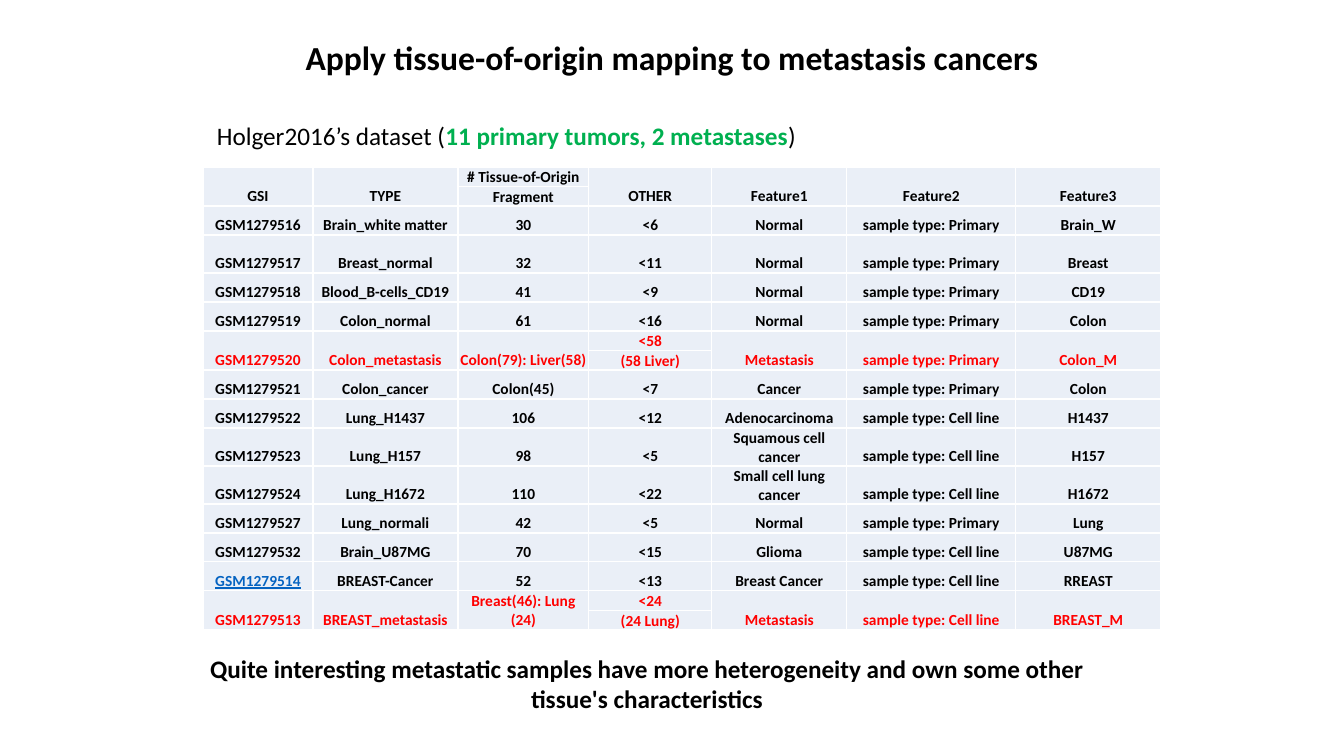
from lxml.etree import SubElement
from pptx import Presentation
from pptx.dml.color import RGBColor
from pptx.enum.text import MSO_ANCHOR, MSO_AUTO_SIZE, PP_ALIGN
from pptx.oxml.ns import qn
from pptx.util import Emu, Pt

COLORS = {
    "text": "000000",
    "primary": "00B050",
    "metastasis": "FF0000",
    "link": "0563C1",
    "cell": "EAEFF7",
    "border": "FFFFFF",
}
FONT = "Calibri"

TEXTS = [
    ((207, 115, 883, 40), 18, PP_ALIGN.LEFT, [
        ("Holger2016’s dataset (", "text", False),
        ("11 primary tumors, 2 metastases", "primary", True),
        (")", "text", False),
    ]),
    ((207, 32, 930, 50), 24, PP_ALIGN.CENTER, [
        ("Apply tissue-of-origin mapping to metastasis cancers", "text", True),
    ]),
    ((182, 648, 930, 72), 18, PP_ALIGN.CENTER, [
        ("Quite interesting metastatic samples have more heterogeneity and own "
         "some other tissue's characteristics", "text", True),
    ]),
]

PRIMARY = "sample type: Primary"
CELL_LINE = "sample type: Cell line"
LINKED = "GSM1279514"
TABLE_LEFT, TABLE_TOP = 203, 167
COLUMN_WIDTHS = [110, 145, 131, 123, 135, 169, 145]
SHORT, NORMAL, WRAPPED, TALL = 18, 29, 37, 38
ROWS = [
    (SHORT, ["GSI", "TYPE", "# Tissue-of-Origin", "OTHER", "Feature1", "Feature2", "Feature3"]),
    (SHORT, [None, None, "Fragment", None, None, None, None]),
    (NORMAL, ["GSM1279516", "Brain_white matter", "30", "<6", "Normal", PRIMARY, "Brain_W"]),
    (TALL, ["GSM1279517", "Breast_normal", "32", "<11", "Normal", PRIMARY, "Breast"]),
    (NORMAL, ["GSM1279518", "Blood_B-cells_CD19", "41", "<9", "Normal", PRIMARY, "CD19"]),
    (NORMAL, ["GSM1279519", "Colon_normal", "61", "<16", "Normal", PRIMARY, "Colon"]),
    (SHORT, ["GSM1279520", "Colon_metastasis", "Colon(79): Liver(58)", "<58", "Metastasis", PRIMARY, "Colon_M"]),
    (SHORT, [None, None, None, "(58 Liver)", None, None, None]),
    (NORMAL, ["GSM1279521", "Colon_cancer", "Colon(45)", "<7", "Cancer", PRIMARY, "Colon"]),
    (NORMAL, ["GSM1279522", "Lung_H1437", "106", "<12", "Adenocarcinoma", CELL_LINE, "H1437"]),
    (WRAPPED, ["GSM1279523", "Lung_H157", "98", "<5", "Squamous cell cancer", CELL_LINE, "H157"]),
    (WRAPPED, ["GSM1279524", "Lung_H1672", "110", "<22", "Small cell lung cancer", CELL_LINE, "H1672"]),
    (NORMAL, ["GSM1279527", "Lung_normali", "42", "<5", "Normal", PRIMARY, "Lung"]),
    (NORMAL, ["GSM1279532", "Brain_U87MG", "70", "<15", "Glioma", CELL_LINE, "U87MG"]),
    (NORMAL, [LINKED, "BREAST-Cancer", "52", "<13", "Breast Cancer", CELL_LINE, "RREAST"]),
    (SHORT, ["GSM1279513", "BREAST_metastasis", "Breast(46): Lung (24)", "<24", "Metastasis", CELL_LINE, "BREAST_M"]),
    (SHORT, [None, None, None, "(24 Lung)", None, None, None]),
]


def px(length):
    return Emu(round(length * 914400 / 100.8))


def color(name):
    return RGBColor.from_string(COLORS[name])


def add_text(page, frame, size, align, spans):
    box = page.shapes.add_textbox(*map(px, frame))
    box.text_frame.word_wrap = True
    box.text_frame.auto_size = MSO_AUTO_SIZE.SHAPE_TO_FIT_TEXT
    para = box.text_frame.paragraphs[0]
    para.alignment = align
    para.font.name = FONT
    para.font.size = Pt(size)
    for text, tone, bold in spans:
        span = para.add_run()
        span.text = text
        span.font.color.rgb = color(tone)
        span.font.bold = bold


def style_cell(cell):
    cell.margin_left = cell.margin_right = cell.margin_top = px(1)
    cell.margin_bottom = 0
    cell.vertical_anchor = MSO_ANCHOR.BOTTOM
    properties = cell._tc.get_or_add_tcPr()
    for side in ("lnL", "lnR", "lnT", "lnB"):
        line = SubElement(properties, qn(f"a:{side}"), w=str(Pt(1)))
        fill = SubElement(line, qn("a:solidFill"))
        SubElement(fill, qn("a:srgbClr"), val=COLORS["border"])
    cell.fill.solid()
    cell.fill.fore_color.rgb = color("cell")


def write_cell(cell, text, tone):
    para = cell.text_frame.paragraphs[0]
    para.text = text
    para.alignment = PP_ALIGN.CENTER
    para.font.name = FONT
    para.font.size = Pt(11)
    para.font.bold = True
    para.font.underline = text == LINKED
    para.font.color.rgb = color("link" if text == LINKED else tone)


def add_samples(page):
    width, height = sum(COLUMN_WIDTHS), sum(row[0] for row in ROWS)
    frame = page.shapes.add_table(
        len(ROWS), len(COLUMN_WIDTHS), px(TABLE_LEFT), px(TABLE_TOP), px(width), px(height))
    table = frame.table
    table.first_row = table.horz_banding = False
    for column, column_width in zip(table.columns, COLUMN_WIDTHS):
        column.width = px(column_width)
    tone = "text"
    for row_index, (row_height, values) in enumerate(ROWS):
        table.rows[row_index].height = px(row_height)
        if values[1]:
            tone = "metastasis" if "metastasis" in values[1] else "text"
        for column_index, text in enumerate(values):
            cell = table.cell(row_index, column_index)
            style_cell(cell)
            write_cell(cell, text or "", tone)
            if text is None:
                table.cell(row_index - 1, column_index).merge(cell)


def main():
    deck = Presentation()
    deck.slide_width, deck.slide_height = px(1344), px(756)
    page = deck.slides.add_slide(deck.slide_layouts[6])
    for text in TEXTS:
        add_text(page, *text)
    add_samples(page)
    deck.save("out.pptx")


if __name__ == "__main__":
    main()
